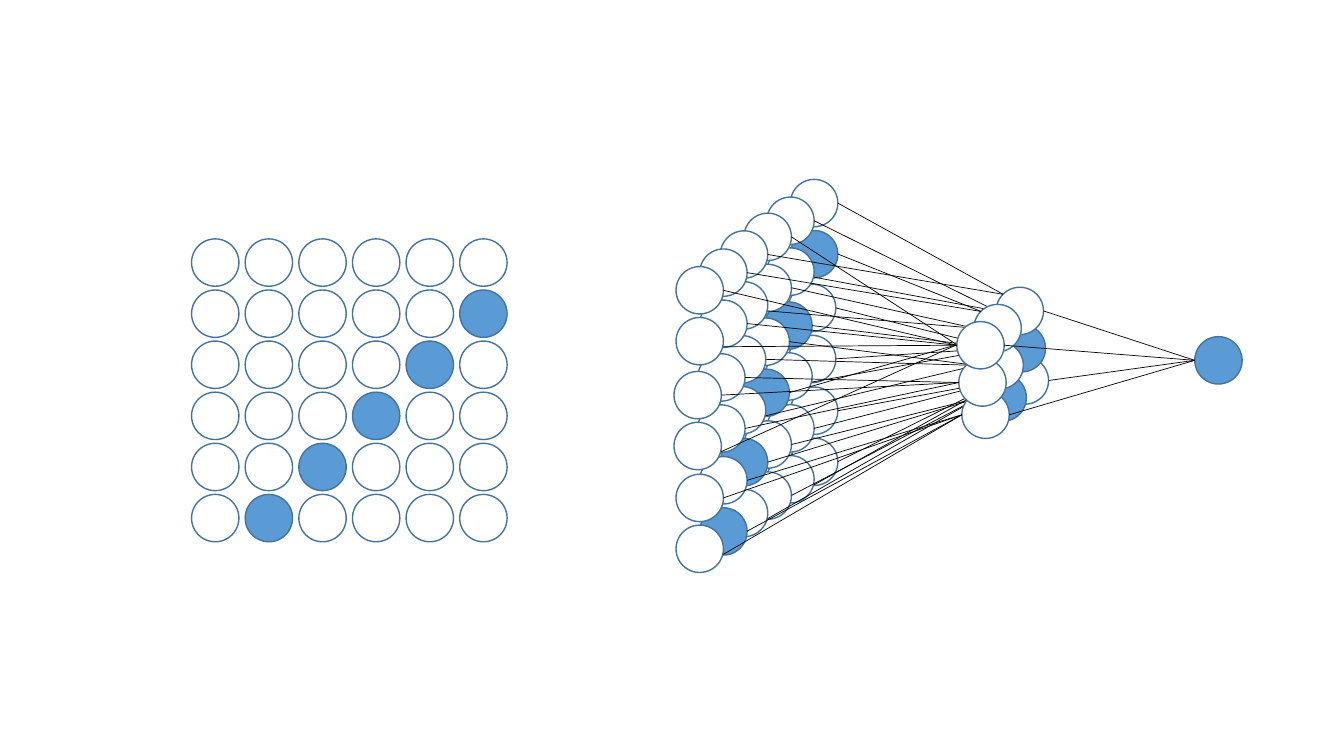
import itertools

import lxml.etree
import pptx
import pptx.dml.color
import pptx.enum.shapes
import pptx.oxml.ns
import pptx.util

WHITE = pptx.dml.color.RGBColor(0xFF, 0xFF, 0xFF)
BLUE = pptx.dml.color.RGBColor(0x5B, 0x9B, 0xD5)
OUTLINE = pptx.dml.color.RGBColor(0x43, 0x73, 0x9E)
BLACK = pptx.dml.color.RGBColor(0x00, 0x00, 0x00)
Inches = pptx.util.Inches

DIAMETER = 0.47
RADIUS = DIAMETER / 2
ROW_STEP = 0.507
COLUMN_STEP = 0.532
GRID_SIZE = 6

BLOCK_ORIGINS = [(1.14, 0), (1.12, 1.04), (1.14, 2.06)]
BLOCK_DEPTHS = [(0, 0), (-0.46, 0.335), (-0.9, 0.69)]
CELL_OFFSETS = [(0, 0), (0, ROW_STEP), (-0.235, 0.175), (-0.235, 0.68)]
LINE_STARTS = [(0.235, 0.41), (0.47, 0.235), (0.47, 0.74), (0.235, 0.97)]

POOLED_ORIGINS = [(3.18, 1.07), (3.2, 1.44), (3.23, 1.76)]
POOLED_DEPTHS = [(0, 0), (-0.22, 0.17), (-0.39, 0.34)]
OUTPUT_OFFSET = (5.15, 1.56)

BACK_CORNER = (3.25, 1.14)
MIDDLE_CORNER = (3.03, 1.31)
FRONT_PORT = (2.79, 1.64)
REDIRECTED_LINES = {
    (0, 0, 1): BACK_CORNER,
    (0, 0, 2): MIDDLE_CORNER,
    (0, 1, 0): BACK_CORNER,
    (0, 1, 1): FRONT_PORT,
    (0, 2, 1): MIDDLE_CORNER,
    (1, 1, 2): FRONT_PORT,
    (1, 2, 3): FRONT_PORT,
}


def shift(point, offset):
    """Return the point moved by the offset."""
    return point[0] + offset[0], point[1] + offset[1]


def add_neuron(slide, position, active):
    """Draw one circle, filled blue when active."""
    left, top = position
    shape = slide.shapes.add_shape(
        pptx.enum.shapes.MSO_SHAPE.OVAL,
        Inches(left), Inches(top), Inches(DIAMETER), Inches(DIAMETER))
    shape.shadow.inherit = False
    shape.fill.solid()
    shape.fill.fore_color.rgb = BLUE if active else WHITE
    shape.line.color.rgb = OUTLINE
    shape.line.width = pptx.util.Pt(1)


def add_link(slide, start, end):
    """Draw one thin black line between two points."""
    connector = slide.shapes.add_connector(
        pptx.enum.shapes.MSO_CONNECTOR.STRAIGHT,
        *(Inches(length) for length in (*start, *end)))
    connector.line.color.rgb = BLACK
    connector.line.width = pptx.util.Pt(0.5)
    lxml.etree.SubElement(
        connector.element.spPr, pptx.oxml.ns.qn("a:effectLst"))


def add_input_grid(slide, corner):
    """Draw the flat input grid with its active diagonal."""
    for column, row in itertools.product(range(GRID_SIZE), repeat=2):
        position = shift(corner, (column * COLUMN_STEP, row * ROW_STEP))
        add_neuron(slide, position, row + column == GRID_SIZE)


def add_pooling_block(slide, corner, group, depth):
    """Draw a two by two block, its pooled neuron and the links between."""
    origin = shift(shift(corner, BLOCK_ORIGINS[group]), BLOCK_DEPTHS[depth])
    for index, offset in enumerate(CELL_OFFSETS):
        row = 2 * group + index % 2
        column = GRID_SIZE - 1 - 2 * depth - index // 2
        add_neuron(slide, shift(origin, offset), row + column == GRID_SIZE)

    pooled = shift(shift(corner, POOLED_ORIGINS[group]), POOLED_DEPTHS[depth])
    add_neuron(slide, pooled, group - depth == 1)
    for index, offset in enumerate(LINE_STARTS):
        target = REDIRECTED_LINES.get((group, depth, index))
        end = shift(corner, target) if target else shift(pooled, (0, RADIUS))
        add_link(slide, shift(origin, offset), end)


def add_output(slide, corner):
    """Draw the output neuron and its links from the outer pooled neurons."""
    output = shift(corner, OUTPUT_OFFSET)
    add_neuron(slide, output, True)
    for group, depth in itertools.product((0, 2), (0, 2)):
        pooled = shift(POOLED_ORIGINS[group], POOLED_DEPTHS[depth])
        start = shift(shift(corner, pooled), (DIAMETER, RADIUS))
        add_link(slide, start, shift(output, (0, RADIUS)))


def add_network(slide, corner):
    """Draw the layered network from back to front."""
    for group, depth in itertools.product((2, 1, 0), range(3)):
        add_pooling_block(slide, corner, group, depth)
    add_output(slide, corner)


def main():
    """Build and save the slide."""
    presentation = pptx.Presentation()
    presentation.slide_width = Inches(13.33)
    presentation.slide_height = Inches(7.5)
    slide = presentation.slides.add_slide(presentation.slide_layouts[6])
    add_input_grid(slide, (1.9, 2.37))
    add_network(slide, (6.7, 1.78))
    presentation.save("out.pptx")


if __name__ == "__main__":
    main()
